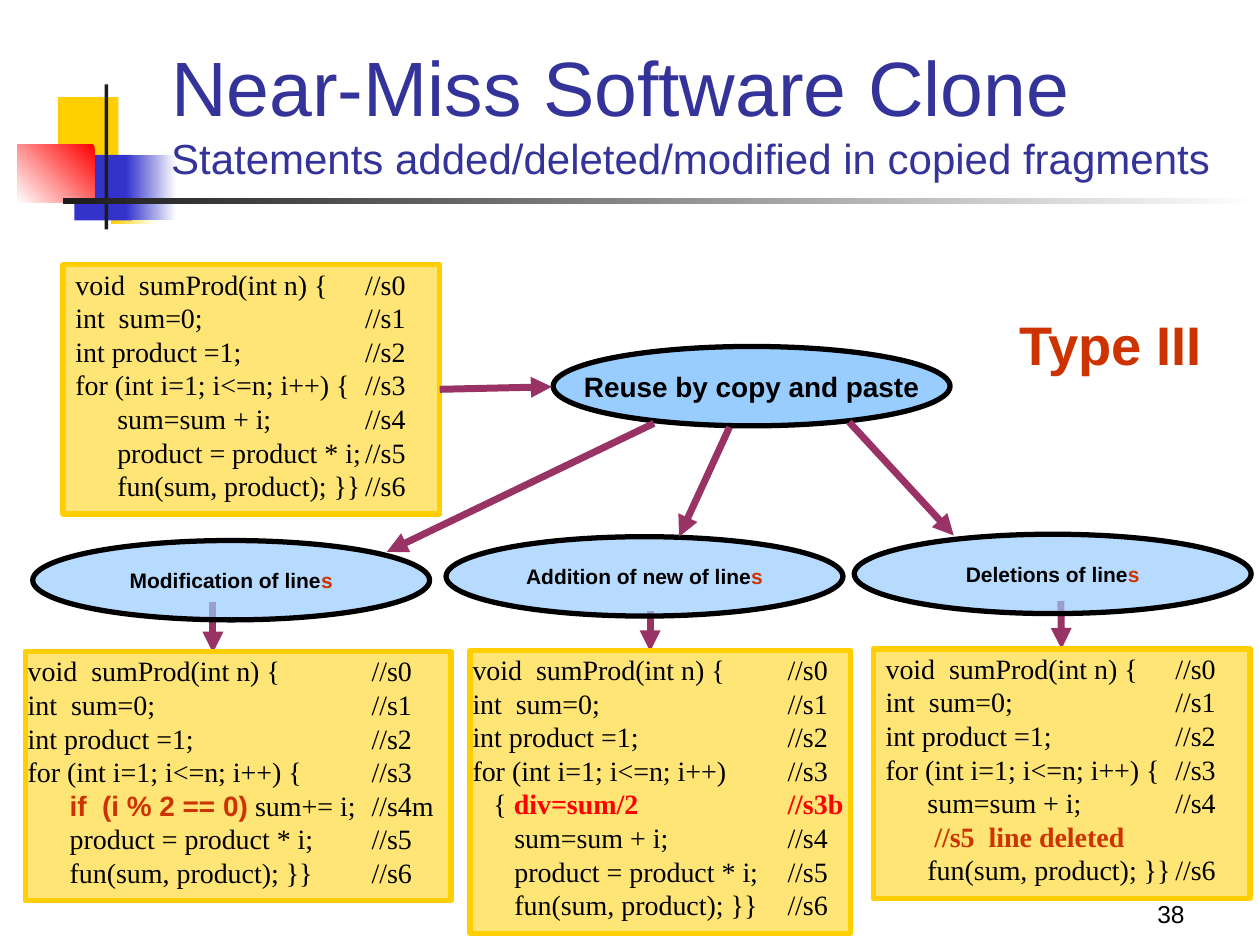
from dataclasses import dataclass
from typing import NamedTuple, Optional

from lxml.etree import SubElement
from pptx import Presentation
from pptx.dml.color import RGBColor
from pptx.enum.shapes import MSO_CONNECTOR, MSO_SHAPE
from pptx.enum.text import MSO_ANCHOR, PP_ALIGN
from pptx.oxml.ns import qn
from pptx.util import Inches, Pt

BLACK = RGBColor(0x00, 0x00, 0x00)
WHITE = RGBColor(0xFF, 0xFF, 0xFF)
CHARCOAL = RGBColor(0x1C, 0x1C, 0x1C)
GOLD = RGBColor(0xFF, 0xCF, 0x01)
BLUE = RGBColor(0x33, 0x33, 0xCC)
NAVY = RGBColor(0x33, 0x33, 0x99)
SKY = RGBColor(0x99, 0xCC, 0xFF)
RED = RGBColor(0xFF, 0x00, 0x00)
RUST = RGBColor(0xCC, 0x33, 0x00)
PLUM = RGBColor(0x99, 0x33, 0x66)


class Run(NamedTuple):
    text: str
    color: Optional[RGBColor] = None
    bold: Optional[bool] = None
    font: Optional[str] = None
    size: Optional[float] = None


class Band(NamedTuple):
    left: float
    top: float
    width: float
    height: float
    start: RGBColor
    end: Optional[RGBColor] = None
    angle: float = 180


@dataclass
class CodeBox:
    left: float
    top: float
    width: float
    height: float
    inset: float
    comment_tab: float
    lines: list


@dataclass
class Step:
    left: float
    top: float
    runs: list
    size: float = 12
    opacity: int = 70


DECORATION = [
    Band(0.46, 0.77, 0.48, 0.52, GOLD),
    Band(0.88, 1.26, 0.36, 0.52, WHITE, GOLD),
    Band(0.59, 1.23, 0.46, 0.52, BLUE),
    Band(1, 1.23, 0.4, 0.52, WHITE, BLUE),
    Band(0.14, 1.15, 0.61, 0.46, RED, WHITE, 225),
    Band(0.83, 0.67, 0.03, 1.15, CHARCOAL),
    Band(0.5, 1.57, 9.5, 0.05, WHITE, CHARCOAL),
]

DECLARATIONS = ["void  sumProd(int n) {\t//s0", "int  sum=0;\t//s1", "int product =1;\t//s2"]
LOOP = "for (int i=1; i<=n; i++) {\t//s3"
SUM = "      sum=sum + i;\t//s4"
PRODUCT = "      product = product * i;\t//s5"
CALL = "      fun(sum, product); }}\t//s6"

ORIGINAL = CodeBox(0.5, 2.1, 2.99, 1.98, 0.1, 2.3, [*DECLARATIONS, LOOP, SUM, PRODUCT, CALL])
ADDED = CodeBox(3.73, 5.16, 3.02, 2.25, 0.02, 2.5, [
    *DECLARATIONS, "for (int i=1; i<=n; i++)\t//s3",
    ["   { ", Run("div=sum/2\t//s3b", RED, True)], SUM, PRODUCT, CALL])
DELETED = CodeBox(6.93, 5.15, 2.99, 1.98, 0.1, 2.3, [
    *DECLARATIONS, LOOP, SUM, ["       ", Run("//s5  line deleted", RUST, True)], CALL])
MODIFIED = CodeBox(0.2, 5.17, 3.38, 1.98, 0.02, 2.73, [
    *DECLARATIONS, LOOP,
    ["      ", Run("if  (i % 2 == 0)", RUST, True, "Arial"), " sum+= i;\t//s4m"],
    PRODUCT, CALL])

LAST_LETTER = Run("s", RUST)
REUSE = Step(4.39, 2.75, ["Reuse by copy and paste"], 16, 100)
ADDITION = Step(3.54, 4.26, ["Addition of new of line", LAST_LETTER])
DELETION = Step(6.78, 4.24, ["Deletions of line", LAST_LETTER])
MODIFICATION = Step(0.26, 4.29, ["Modification of line", LAST_LETTER])


def write_text(shape, lines, *, size=16, font="Arial", color=BLACK, bold=False,
               align=PP_ALIGN.LEFT, anchor=MSO_ANCHOR.TOP, insets=(0.1, 0.05),
               wrap=True, tab=None) -> None:
    """Fill a shape with lines, each a string or a list of strings and runs."""
    frame = shape.text_frame
    frame.word_wrap = wrap
    frame.vertical_anchor = anchor
    frame.margin_left = frame.margin_right = Inches(insets[0])
    frame.margin_top = frame.margin_bottom = Inches(insets[1])
    for index, line in enumerate(lines):
        paragraph = frame.add_paragraph() if index else frame.paragraphs[0]
        paragraph.alignment = align
        if tab:
            stops = SubElement(paragraph._p.get_or_add_pPr(), qn("a:tabLst"))
            SubElement(stops, qn("a:tab"), pos=str(Inches(tab)), algn="l")
        for part in [line] if isinstance(line, str) else line:
            piece = Run(part) if isinstance(part, str) else part
            if piece.text == "\n":
                paragraph.add_line_break()
                continue
            run = paragraph.add_run()
            run.text = piece.text
            run.font.size = Pt(piece.size or size)
            run.font.name = piece.font or font
            run.font.bold = bold if piece.bold is None else piece.bold
            run.font.color.rgb = piece.color or color


def add_box(slide, kind, left: float, top: float, width: float, height: float):
    """Add a preset shape without shadow or outline."""
    shape = slide.shapes.add_shape(kind, Inches(left), Inches(top), Inches(width), Inches(height))
    shape.shadow.inherit = False
    shape.line.fill.background()
    return shape


def paint(shape, fill: RGBColor, opacity: int, outline: RGBColor) -> None:
    """Give a shape a translucent fill and a three-point outline."""
    shape.fill.solid()
    shape.fill.fore_color.rgb = fill
    if opacity < 100:
        tint = shape._element.spPr.find(qn("a:solidFill"))[0]
        SubElement(tint, qn("a:alpha"), val=str(opacity * 1000))
    shape.line.color.rgb = outline
    shape.line.width = Pt(3)


def draw_band(slide, band: Band) -> None:
    """Draw one plain or gradient rectangle of the slide decoration."""
    shape = add_box(slide, MSO_SHAPE.RECTANGLE, *band[:4])
    if band.end is None:
        shape.fill.solid()
        shape.fill.fore_color.rgb = band.start
        return
    shape.fill.gradient()
    shape.fill.gradient_angle = band.angle
    for stop, color in zip(shape.fill.gradient_stops, (band.start, band.end)):
        stop.color.rgb = color


def draw_code(slide, code: CodeBox):
    """Draw a gold box of code with its comments on a tab stop."""
    shape = add_box(slide, MSO_SHAPE.RECTANGLE, code.left, code.top, code.width, code.height)
    paint(shape, GOLD, 54, GOLD)
    write_text(shape, code.lines, font="Times New Roman",
               insets=(code.inset, 0.02), tab=code.comment_tab)
    return shape


def draw_step(slide, step: Step) -> None:
    """Draw one ellipse of the flow."""
    shape = add_box(slide, MSO_SHAPE.OVAL, step.left, step.top, 3.15, 0.63)
    paint(shape, SKY, step.opacity, BLACK)
    write_text(shape, [step.runs], size=step.size, bold=True, align=PP_ALIGN.CENTER,
               anchor=MSO_ANCHOR.MIDDLE, wrap=False)


def draw_arrow(slide, x1: float, y1: float, x2: float, y2: float):
    """Draw a plum arrow from the first point to the second."""
    arrow = slide.shapes.add_connector(
        MSO_CONNECTOR.STRAIGHT, Inches(x1), Inches(y1), Inches(x2), Inches(y2))
    arrow.line.color.rgb = PLUM
    arrow.line.width = Pt(4)
    SubElement(arrow.line._get_or_add_ln(), qn("a:tailEnd"), type="triangle")
    SubElement(arrow._element.spPr, qn("a:effectLst"))
    return arrow


def add_label(slide, left: float, top: float, width: float, height: float, line, **style) -> None:
    """Add a text box holding one line."""
    label = slide.shapes.add_textbox(Inches(left), Inches(top), Inches(width), Inches(height))
    write_text(label, [line], **style)


def main() -> None:
    """Build and save the slide."""
    deck = Presentation()
    deck.slide_width, deck.slide_height = Inches(10), Inches(7.5)
    slide = deck.slides.add_slide(deck.slide_layouts[6])
    for band in DECORATION:
        draw_band(slide, band)
    add_label(slide, 7.42, 6.92, 2.08, 0.5, "38", size=14, align=PP_ALIGN.RIGHT,
              anchor=MSO_ANCHOR.BOTTOM)
    draw_arrow(slide, 5.16, 4.85, 5.16, 5.17)
    deletion_arrow = draw_arrow(slide, 8.42, 4.77, 8.42, 5.15)
    draw_arrow(slide, 1.69, 4.78, 1.69, 5.18)
    title = [Run("Near-Miss Software Clone", size=44), "\n",
             "Statements added/deleted/modified in copied fragments"]
    add_label(slide, 1.26, 0.13, 8.52, 1.37, title, size=24, color=NAVY,
              anchor=MSO_ANCHOR.BOTTOM)
    original = draw_code(slide, ORIGINAL)
    for step in (REUSE, ADDITION, DELETION):
        draw_step(slide, step)
    draw_arrow(slide, 3.49, 3.07, 4.38, 3.07).begin_connect(original, 3)
    draw_arrow(slide, 6.74, 3.35, 7.57, 4.25)
    draw_code(slide, ADDED)
    deletion_arrow.end_connect(draw_code(slide, DELETED), 0)
    draw_code(slide, MODIFIED)
    draw_arrow(slide, 5.19, 3.36, 3.07, 4.38)
    draw_arrow(slide, 5.79, 3.39, 5.39, 4.26)
    draw_step(slide, MODIFICATION)
    add_label(slide, 7.99, 2.25, 1.65, 0.95, "Type III", size=31, color=RUST, bold=True,
              align=PP_ALIGN.CENTER, anchor=MSO_ANCHOR.MIDDLE, wrap=False)
    deck.save("out.pptx")


if __name__ == "__main__":
    main()
